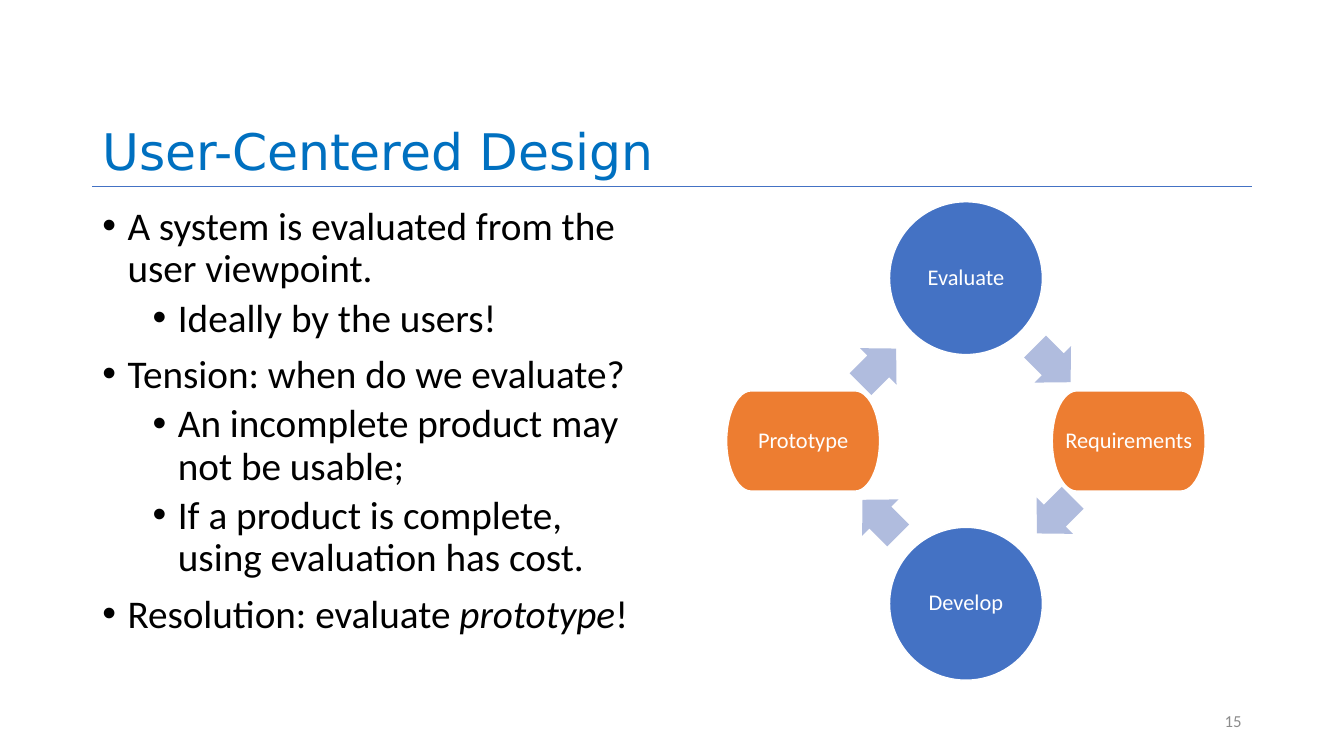
from lxml import etree
from pptx import Presentation
from pptx.dml.color import RGBColor
from pptx.enum.shapes import MSO_CONNECTOR, MSO_SHAPE
from pptx.enum.text import MSO_ANCHOR, MSO_AUTO_SIZE, PP_ALIGN
from pptx.oxml.ns import qn
from pptx.util import Pt

STRAIGHT = MSO_CONNECTOR.STRAIGHT
CIRCLE = MSO_SHAPE.OVAL
TERMINATOR = MSO_SHAPE.FLOWCHART_TERMINATOR
ARROW = MSO_SHAPE.RIGHT_ARROW
TOP, MIDDLE, BOTTOM = MSO_ANCHOR.TOP, MSO_ANCHOR.MIDDLE, MSO_ANCHOR.BOTTOM
LEFT, CENTER, RIGHT = PP_ALIGN.LEFT, PP_ALIGN.CENTER, PP_ALIGN.RIGHT
NO_FIT = MSO_AUTO_SIZE.NONE

# Content
TITLE = "User-Centered Design"
PAGE_NUMBER = "15"
BULLETS = [  # level, (text, italic) parts
    (0, [("A system is evaluated from the user viewpoint.", False)]),
    (1, [("Ideally by the users!", False)]),
    (0, [("Tension: when do we evaluate?", False)]),
    (1, [("An incomplete product may not be usable;", False)]),
    (1, [("If a product is complete, using evaluation has cost.", False)]),
    (0, [("Resolution: evaluate ", False), ("prototype", True), ("!", False)]),
]
CYCLE = [  # label, direction from the centre, offset of the arrow that follows
    ("Evaluate", (0, -1), (62, -54.7)),
    ("Requirements", (1, 0), (63.4, 53.3)),
    ("Develop", (0, 1), (-61.2, 54.7)),
    ("Prototype", (-1, 0), (-62.6, -53.3)),
]
COLORS = {"title": "0070C0", "text": "000000", "white": "FFFFFF", "blue": "4472C4",
          "orange": "ED7D31", "arrow": "B0BCDE", "gray": "8C8C8C"}

# Layout, in points
PAGE_WIDTH, PAGE_HEIGHT = 960, 540
MARGIN, CONTENT_WIDTH = 66, 828
RULE_Y = 133.2
CENTER_X, CENTER_Y, RADIUS = 690, 315, 116.3
CIRCLE_SIZE, TERMINATOR_HEIGHT = 109.2, 71.6
ARROW_WIDTH, ARROW_HEIGHT = 36, 36.8
LEVELS = [{"margin": 18, "before": 10}, {"margin": 54, "before": 5}]


def color(name):
    return RGBColor.from_string(COLORS[name])


def write(box, paragraphs, size, ink, font="Calibri", align=LEFT, anchor=TOP,
          inset=(7.2, 3.6), spacing=0.9, bullets=False):
    frame = box.text_frame
    frame.word_wrap = True
    frame.auto_size = NO_FIT
    frame.vertical_anchor = anchor
    frame.margin_left = frame.margin_right = Pt(inset[0])
    frame.margin_top = frame.margin_bottom = Pt(inset[1])
    for index, (level, parts) in enumerate(paragraphs):
        para = frame.paragraphs[0] if index == 0 else frame.add_paragraph()
        if bullets:
            para.level = level
            properties = para._p.get_or_add_pPr()
            properties.set("marL", str(Pt(LEVELS[level]["margin"])))
            properties.set("indent", str(-Pt(18)))
            etree.SubElement(properties, qn("a:buFont")).set("typeface", "Arial")
            etree.SubElement(properties, qn("a:buChar")).set("char", "•")
        para.alignment = align
        para.line_spacing = spacing
        para.space_before = Pt(LEVELS[level]["before"] if index else 0)
        for text, italic in parts:
            span = para.add_run()
            span.text = text
            span.font.name = font
            span.font.size = Pt(size)
            span.font.italic = italic
            span.font.color.rgb = color(ink)


def plain(text):
    return [(0, [(text, False)])]


def add_centered(page, kind, x, y, width, height, fill):
    shape = page.shapes.add_shape(kind, Pt(x - width / 2), Pt(y - height / 2),
                                  Pt(width), Pt(height))
    shape.shadow.inherit = False
    shape.fill.solid()
    shape.fill.fore_color.rgb = color(fill)
    return shape


def add_cycle(page):
    for index, (label, (across, down), (arrow_x, arrow_y)) in enumerate(CYCLE):
        # Circles above and below, terminators at the sides
        if across:
            kind, height, fill = TERMINATOR, TERMINATOR_HEIGHT, "orange"
        else:
            kind, height, fill = CIRCLE, CIRCLE_SIZE, "blue"
        step = add_centered(page, kind, CENTER_X + across * RADIUS,
                            CENTER_Y + down * RADIUS, CIRCLE_SIZE, height, fill)
        step.line.color.rgb = color("white")
        step.line.width = Pt(1)
        write(step, plain(label), 16, "white", align=CENTER, anchor=MIDDLE,
              inset=(1.44, 1.44))

        # Arrow towards the next step
        arrow = add_centered(page, ARROW, CENTER_X + arrow_x, CENTER_Y + arrow_y,
                             ARROW_WIDTH, ARROW_HEIGHT, "arrow")
        arrow.line.fill.background()
        arrow.adjustments[0] = 0.6
        arrow.adjustments[1] = 0.5
        arrow.rotation = 45 + 90 * index


def main():
    deck = Presentation()
    deck.slide_width, deck.slide_height = Pt(PAGE_WIDTH), Pt(PAGE_HEIGHT)
    page = deck.slides.add_slide(deck.slide_layouts[5])

    # Title and rule
    title = page.shapes.title
    title.left, title.top = Pt(MARGIN), Pt(28.8)
    title.width, title.height = Pt(CONTENT_WIDTH), Pt(RULE_Y - 28.8)
    write(title, plain(TITLE), 36, "title", font="DejaVu Sans", anchor=BOTTOM)
    rule = page.shapes.add_connector(STRAIGHT, Pt(MARGIN), Pt(RULE_Y),
                                     Pt(MARGIN + CONTENT_WIDTH), Pt(RULE_Y))
    rule.line.color.rgb = color("blue")
    rule.line.width = Pt(0.5)
    etree.SubElement(rule._element.spPr, qn("a:effectLst"))

    # Bullets
    body = page.shapes.add_textbox(Pt(MARGIN), Pt(144), Pt(408), Pt(342.6))
    write(body, BULLETS, 28, "text", bullets=True)

    add_cycle(page)

    # Page number
    number = page.shapes.add_textbox(Pt(678), Pt(500.5), Pt(216), Pt(28.75))
    write(number, plain(PAGE_NUMBER), 12, "gray", align=RIGHT, anchor=MIDDLE, spacing=1.0)

    deck.save("out.pptx")


if __name__ == "__main__":
    main()
